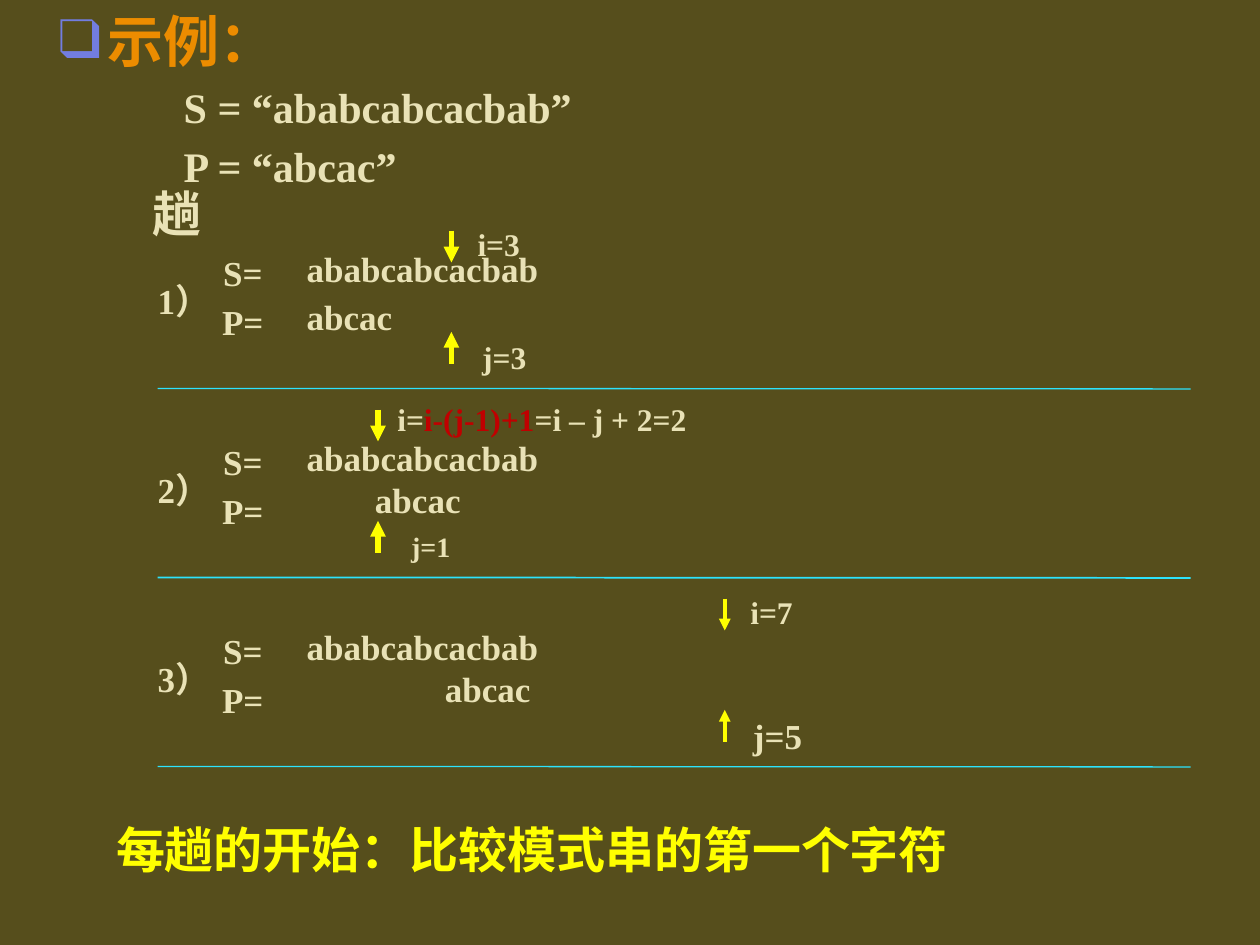
from dataclasses import dataclass

from lxml import etree
from pptx import Presentation
from pptx.dml.color import RGBColor
from pptx.enum.shapes import MSO_CONNECTOR
from pptx.enum.text import MSO_ANCHOR, MSO_AUTO_SIZE, PP_ALIGN
from pptx.oxml.ns import qn
from pptx.shapes.connector import Connector
from pptx.util import Cm, Pt

STRAIGHT = MSO_CONNECTOR.STRAIGHT
TOP, MIDDLE = MSO_ANCHOR.TOP, MSO_ANCHOR.MIDDLE
NO_AUTOFIT = MSO_AUTO_SIZE.NONE
LEFT, CENTER, JUSTIFY = PP_ALIGN.LEFT, PP_ALIGN.CENTER, PP_ALIGN.JUSTIFY

FONT = "Times New Roman"
COLORS = {
    "background": "564E1C",
    "text": "E9E2B6",
    "heading": "EC8C00",
    "bullet": "727DE0",
    "highlight": "FFFF00",
    "formula": "C00000",
    "rule": "2CE3FC",
}
PASS_HEIGHT = 3.81
ARROW_LENGTH = 0.64


@dataclass(frozen=True)
class Span:
    text: str
    color: str = "text"


@dataclass(frozen=True)
class Box:
    left: float
    top: float
    width: float
    height: float


@dataclass(frozen=True)
class MatchPass:
    number: int
    pattern_left: float
    pattern_top: float
    arrow_x: float
    arrow_top: float
    arrow_width: float
    i_spans: tuple[Span, ...]
    i_box: Box
    j_text: str
    j_left: float
    j_size: int
    rule_width: float


PASSES = (
    MatchPass(1, 5.93, 2.03, 9.1, 0.84, 3, (Span("i=3"),),
              Box(9.32, 0.64, 1.47, 0.94), "j=3", 9.53, 18, 0.75),
    MatchPass(2, 7.31, 1.9, 7.62, 0.64, 3,
              (Span("i="), Span("i-(j-1)+1", "formula"), Span("=i – j + 2=2")),
              Box(6.3, 0.36, 9.25, 0.94), "j=1", 8.05, 16, 1),
    MatchPass(3, 8.72, 1.9, 14.61, 0.64, 2.25, (Span("i=7"),),
              Box(14.82, 0.43, 1.47, 0.94), "j=5", 15.04, 20, 0.75),
)


def write_paragraph(paragraph, spans: tuple[Span, ...], size: int, alignment=LEFT) -> None:
    paragraph.alignment = alignment
    paragraph.space_before = Pt(size * 0.2)
    for span in spans:
        run = paragraph.add_run()
        run.text = span.text
        run.font.name = FONT
        run.font.size = Pt(size)
        run.font.bold = True
        run.font.color.rgb = RGBColor.from_string(COLORS[span.color])


def add_text(shapes, box: Box, lines: tuple[tuple[Span, ...], ...], size: int,
             alignment=CENTER, wrap: bool = False) -> None:
    shape = shapes.add_textbox(Cm(box.left), Cm(box.top), Cm(box.width), Cm(box.height))
    frame = shape.text_frame
    frame.word_wrap = wrap
    frame.vertical_anchor = MIDDLE
    if not wrap:
        frame.margin_left = frame.margin_right = 0
    for index, spans in enumerate(lines):
        paragraph = frame.add_paragraph() if index else frame.paragraphs[0]
        write_paragraph(paragraph, spans, size, alignment)


def add_line(shapes, start: tuple[float, float], end: tuple[float, float],
             color: str, width: float) -> Connector:
    line = shapes.add_connector(STRAIGHT, Cm(start[0]), Cm(start[1]), Cm(end[0]), Cm(end[1]))
    line.line.color.rgb = RGBColor.from_string(COLORS[color])
    line.line.width = Pt(width)
    etree.SubElement(line._element.spPr, qn("a:effectLst"))
    return line


def add_arrow(shapes, x: float, start_y: float, end_y: float, width: float) -> None:
    arrow = add_line(shapes, (x, start_y), (x, end_y), "highlight", width)
    etree.SubElement(arrow.line._get_or_add_ln(), qn("a:tailEnd"), type="triangle")


def add_pass(slide, match: MatchPass) -> None:
    shapes = slide.shapes.add_group_shape().shapes
    top = PASS_HEIGHT * match.number
    i_top = top + match.arrow_top
    add_arrow(shapes, match.arrow_x, i_top, i_top + ARROW_LENGTH, match.arrow_width)
    j_tip = top + 2.88
    add_arrow(shapes, match.arrow_x, j_tip + ARROW_LENGTH, j_tip, match.arrow_width)
    add_text(shapes, Box(5.93, top + 1.06, 17.63, 1.09),
             ((Span("ababcabcacbab"),),), 20, JUSTIFY, True)
    add_text(shapes, Box(match.pattern_left, top + match.pattern_top, 6.5, 1.09),
             ((Span("abcac"),),), 20, JUSTIFY, True)
    i_box = match.i_box
    add_text(shapes, Box(i_box.left, top + i_box.top, i_box.width, i_box.height),
             (match.i_spans,), 18)
    add_text(shapes, Box(match.j_left, top + 2.97, 1.27, 0.84),
             ((Span(match.j_text),),), match.j_size)
    add_text(shapes, Box(2.95, top + 1.68, 1.52, 1.14), ((Span(f"{match.number}）"),),), 20)
    add_text(shapes, Box(4.22, top + 1.12, 1.35, 2.11), ((Span("S="),), (Span("P="),)), 20)
    add_line(shapes, (24, top + 4.03), (3.18, top + 4.02), "rule", match.rule_width)


def set_bullet(paragraph, character: str, color: str) -> None:
    properties = paragraph._p.get_or_add_pPr()
    properties.set("marL", str(Cm(1.01)))
    properties.set("indent", str(Cm(-0.99)))
    bullet_color = etree.SubElement(properties, qn("a:buClr"))
    etree.SubElement(bullet_color, qn("a:srgbClr"), val=COLORS[color])
    etree.SubElement(properties, qn("a:buFont"), typeface=FONT)
    etree.SubElement(properties, qn("a:buChar"), char=character)


def set_plain_indent(paragraph, margin: float) -> None:
    properties = paragraph._p.get_or_add_pPr()
    properties.set("marL", str(Cm(margin)))
    properties.set("indent", "0")
    etree.SubElement(properties, qn("a:buNone"))


def fill_body(body) -> None:
    body.left, body.top, body.width, body.height = Cm(0.91), Cm(0), Cm(20.4), Cm(3.73)
    frame = body.text_frame
    frame.auto_size = NO_AUTOFIT
    frame.vertical_anchor = TOP
    heading = frame.paragraphs[0]
    write_paragraph(heading, (Span("示例：", "heading"),), 32)
    set_bullet(heading, "❑", "bullet")
    for text in ("S = “ababcabcacbab”", "P = “abcac”"):
        paragraph = frame.add_paragraph()
        write_paragraph(paragraph, (Span(text),), 24)
        set_plain_indent(paragraph, 2.54)


def main() -> None:
    """Build the slide that traces a string match pass by pass."""
    presentation = Presentation()
    presentation.slide_width, presentation.slide_height = Cm(25.4), Cm(19.05)
    slide = presentation.slides.add_slide(presentation.slide_layouts[1])
    background = slide.background.fill
    background.solid()
    background.fore_color.rgb = RGBColor.from_string(COLORS["background"])
    title = slide.shapes.title._element
    title.getparent().remove(title)
    fill_body(slide.placeholders[1])
    for match in PASSES:
        add_pass(slide, match)
    add_text(slide.shapes, Box(2.34, 16.54, 17.5, 1.14),
             ((Span("每趟的开始：比较模式串的第一个字符", "highlight"),),), 28, LEFT)
    add_text(slide.shapes, Box(2.29, 3.73, 2.54, 1.14), ((Span("趟"),),), 28)
    presentation.save("out.pptx")


if __name__ == "__main__":
    main()
